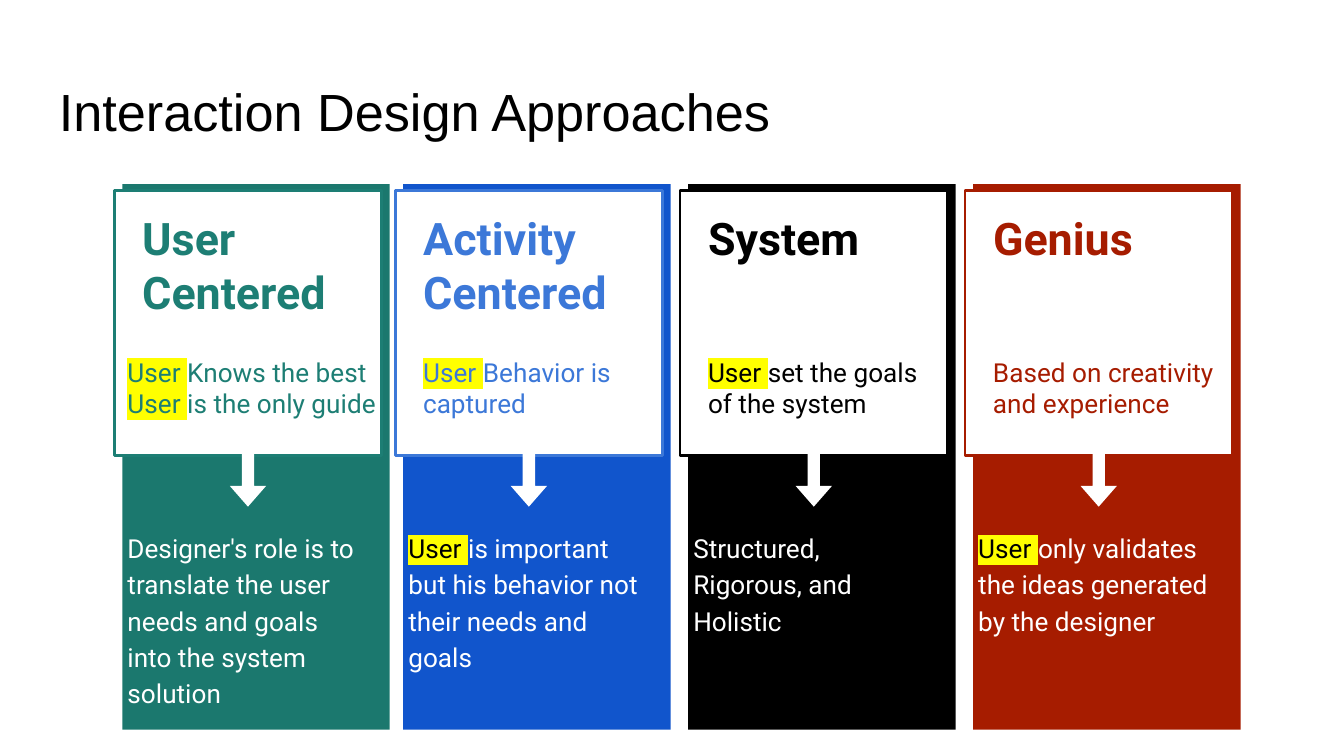
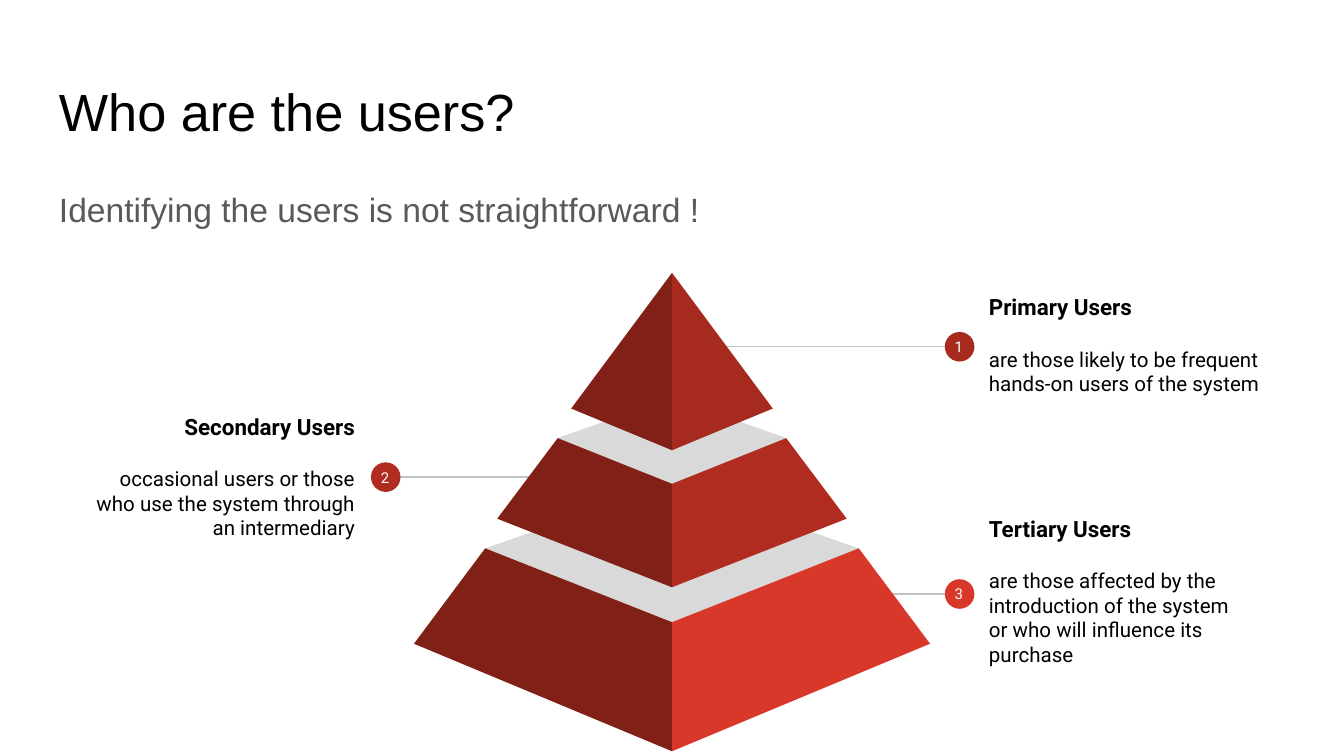
"""Build two slides: interaction design approaches as cards, and a pyramid of user groups."""
from lxml.etree import SubElement
from pptx import Presentation
from pptx.dml.color import RGBColor
from pptx.enum.shapes import MSO_CONNECTOR, MSO_SHAPE as Shape
from pptx.enum.text import MSO_ANCHOR as Anchor, PP_ALIGN as Align
from pptx.oxml.ns import qn
from pptx.util import Inches, Pt

BLACK = RGBColor(0x00, 0x00, 0x00)
WHITE = RGBColor(0xFF, 0xFF, 0xFF)
SUBTITLE_GRAY = RGBColor(0x59, 0x59, 0x59)
LINE_GRAY = RGBColor(0xC2, 0xC2, 0xC2)
LID_GRAY = RGBColor(0xD9, 0xD9, 0xD9)
TEAL = RGBColor(0x1B, 0x78, 0x6E)
TEAL_ACCENT = RGBColor(0x1D, 0x7E, 0x74)
BLUE = RGBColor(0x11, 0x55, 0xCC)
BLUE_ACCENT = RGBColor(0x3C, 0x78, 0xD8)
RUST = RGBColor(0xA6, 0x1C, 0x00)
DARK_RED = RGBColor(0x80, 0x20, 0x17)
TOP_RED = RGBColor(0xA7, 0x2A, 0x1E)
MIDDLE_RED = RGBColor(0xB0, 0x2C, 0x20)
BASE_RED = RGBColor(0xD8, 0x38, 0x29)
HIGHLIGHT = "FFFF00"
HEADING_FONT, BODY_FONT = "Arial", "Roboto"
SLIDE_WIDTH = 10
SLIDE_HEIGHT = SLIDE_WIDTH * 9 / 16
CENTER = SLIDE_WIDTH / 2
MARGIN = 0.34


def add_text(slide, box, lines, size, color, font=BODY_FONT, bold=False, align=Align.LEFT,
             spacing=None, marked_color=None, anchor=Anchor.TOP):
    """Add a text box; a leading "User " is highlighted when marked_color is given."""
    frame = slide.shapes.add_textbox(*map(Inches, box)).text_frame
    frame.word_wrap = True
    frame.vertical_anchor = anchor
    frame.margin_left = frame.margin_right = frame.margin_top = frame.margin_bottom = Inches(0.1)
    for index, line in enumerate(lines):
        paragraph = frame.paragraphs[0] if index == 0 else frame.add_paragraph()
        paragraph.alignment = align
        paragraph.line_spacing = spacing
        paragraph.font.name, paragraph.font.size = font, Pt(size)
        paragraph.font.bold = bold
        paragraph.font.color.rgb = color
        if marked_color is not None and line.startswith("User "):
            marked = paragraph.add_run()
            marked.text, line = "User ", line.removeprefix("User ")
            marked.font.color.rgb = marked_color
            highlight = SubElement(marked.font._element, qn("a:highlight"))
            SubElement(highlight, qn("a:srgbClr")).set("val", HIGHLIGHT)
        paragraph.add_run().text = line
    return frame


def paint(shape, fill, line=None):
    """Fill a shape, with an outline only when a line colour is given."""
    shape.shadow.inherit = False
    shape.fill.solid()
    shape.fill.fore_color.rgb = fill
    if line is None:
        shape.line.fill.background()
    else:
        shape.line.color.rgb = line
        shape.line.width = Pt(1.5)


presentation = Presentation()
presentation.slide_width = Inches(SLIDE_WIDTH)
presentation.slide_height = Inches(SLIDE_HEIGHT)
slides = []
for title in ("Interaction Design Approaches", "Who are the users?"):
    slide = presentation.slides.add_slide(presentation.slide_layouts[6])
    add_text(slide, (MARGIN, 0.49, SLIDE_WIDTH - 2 * MARGIN, 0.63), [title], 28, BLACK, HEADING_FONT)
    slides.append(slide)
approaches_slide, users_slide = slides

CARD_WIDTH = 1.99
cards = [
    (0.85, TEAL, TEAL_ACCENT, ["User", "Centered"], 0, 2.1,
     ["User Knows the best", "User is the only guide"],
     "Designer's role is to translate the user needs and goals into the system solution"),
    (2.94, BLUE, BLUE_ACCENT, ["Activity", "Centered"], 0.11, 1.87,
     ["User Behavior is captured"],
     "User is important but his behavior not their needs and goals"),
    (5.06, BLACK, BLACK, ["System"], 0.11, 1.87,
     ["User set the goals of the system"],
     "Structured, Rigorous, and Holistic"),
    (7.18, RUST, RUST, ["Genius"], 0.11, 1.87,
     ["Based on creativity and experience"],
     "User only validates the ideas generated by the designer"),
]
for left, color, accent, heading, indent, width, summary, detail in cards:
    shapes = approaches_slide.shapes
    panel = shapes.add_shape(Shape.RECTANGLE, *map(Inches, (left + 0.06, 1.37, CARD_WIDTH, 4.06)))
    paint(panel, color)
    front = shapes.add_shape(Shape.RECTANGLE, *map(Inches, (left, 1.42, CARD_WIDTH, 1.97)))
    paint(front, WHITE, accent)
    add_text(approaches_slide, (left + indent, 2.55, width, 0.61), summary, 14, accent,
             marked_color=accent)
    add_text(approaches_slide, (left + 0.11, 1.47, 1.78, 0.67), heading, 24, accent, bold=True)
    arrow = shapes.add_shape(Shape.RIGHT_ARROW, *map(Inches, (left + 0.8, 3.44, 0.39, 0.27)))
    arrow.rotation = 90
    arrow.adjustments[0], arrow.adjustments[1] = 0.34, 0.57
    paint(arrow, WHITE)
    add_text(approaches_slide, (left, 3.83, CARD_WIDTH, 1.08), [detail], 14, WHITE,
             spacing=1.15, marked_color=BLACK)

add_text(users_slide, (MARGIN, 1.26, SLIDE_WIDTH - 2 * MARGIN, 3.74),
         ["Identifying the users is not straightforward !"], 18, SUBTITLE_GRAY, HEADING_FONT, spacing=1.15)

DOT_SIZE = 0.22
groups = [
    ("3", "Tertiary Users",
     "are those affected by the introduction of the system or who will influence its purchase",
     (7.26, 3.64, 2.04, 1.51), Align.LEFT, 7.03, 4.42, 6.6, BASE_RED),
    ("2", "Secondary Users",
     "occasional users or those who use the system through an intermediary",
     (0.49, 2.79, 2.25, 1.51), Align.RIGHT, 2.76, 3.55, 3.97, MIDDLE_RED),
    ("1", "Primary Users",
     "are those likely to be frequent hands-on users of the system",
     (7.26, 1.81, 2.24, 1.51), Align.LEFT, 7.03, 2.58, 5.37, TOP_RED),
]
for number, name, description, box, align, dot_left, middle, pyramid_edge, color in groups:
    dot_center = dot_left + DOT_SIZE / 2
    leader = users_slide.shapes.add_connector(
        MSO_CONNECTOR.STRAIGHT, *map(Inches, (pyramid_edge, middle, dot_center, middle)))
    leader.line.color.rgb = LINE_GRAY
    leader.line.width = Pt(0.75)
    SubElement(leader._element.spPr, qn("a:effectLst"))
    frame = add_text(users_slide, box, [name, description], 11, BLACK, align=align,
                     anchor=Anchor.MIDDLE)
    heading = frame.paragraphs[0]
    heading.font.size, heading.font.bold = Pt(12), True
    heading.space_after = Pt(14)
    dot = users_slide.shapes.add_shape(
        Shape.OVAL, *map(Inches, (dot_left, middle - DOT_SIZE / 2, DOT_SIZE, DOT_SIZE)))
    paint(dot, color)
    add_text(users_slide, (dot_left - 0.03, middle - 0.17, 0.27, 0.34), [number], 8, WHITE,
             align=Align.CENTER, anchor=Anchor.MIDDLE)

tiers = [
    (3.6, [(3.61, 4.08), (3.08, 4.79), (CENTER, 5.59), (CENTER, 4.63)], BASE_RED),
    (2.96, [(4.15, 3.26), (3.7, 3.86), (CENTER, 4.37), (CENTER, 3.6)], MIDDLE_RED),
    (None, [(CENTER, 2.03), (4.25, 3.04), (CENTER, 3.35)], TOP_RED),
]
for lid_top, left_face, color in tiers:
    right_face = [(SLIDE_WIDTH - x, y) for x, y in left_face]
    faces = [(left_face, DARK_RED), (right_face, color)]
    if lid_top is not None:
        lid = [left_face[0], left_face[-1], right_face[0], (CENTER, lid_top)]
        faces.insert(0, (lid, LID_GRAY))
    for corners, fill in faces:
        start, *rest = [(Inches(x), Inches(y)) for x, y in corners]
        builder = users_slide.shapes.build_freeform(*start)
        builder.add_line_segments(rest, close=True)
        paint(builder.convert_to_shape(), fill)

presentation.save("out.pptx")
